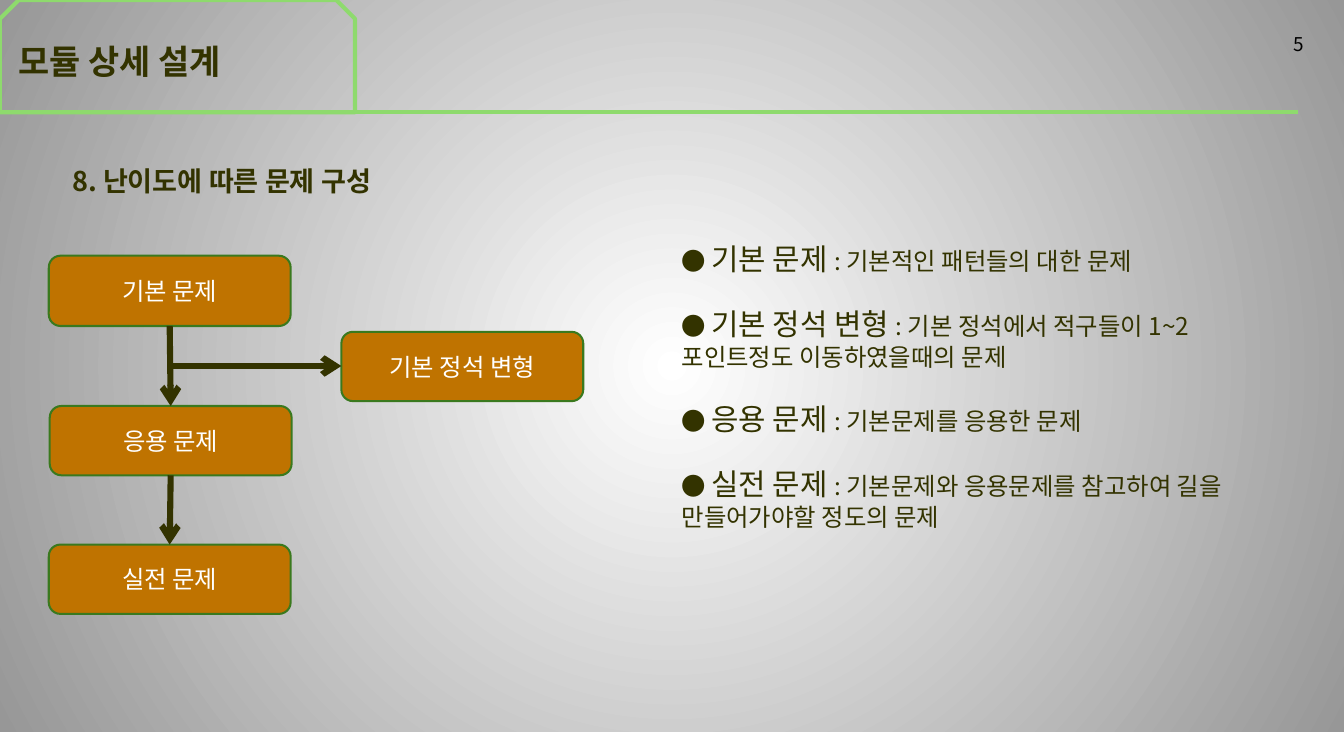
from dataclasses import dataclass
from typing import Any

from lxml import etree
from pptx import Presentation
from pptx import oxml
from pptx.dml.color import RGBColor
from pptx.enum import shapes, text
from pptx.oxml import ns
from pptx.util import Cm, Inches, Pt

FONT = "Noto Sans CJK KR"
OLIVE = RGBColor(0x33, 0x33, 0x00)
LIME = RGBColor(0x8E, 0xDA, 0x6D)
ORANGE = RGBColor(0xBF, 0x73, 0x00)
GREEN = RGBColor(0x3A, 0x79, 0x1E)
WHITE = RGBColor(0xFF, 0xFF, 0xFF)
BLACK = RGBColor(0x00, 0x00, 0x00)
GRAY = RGBColor(0x97, 0x97, 0x97)


@dataclass
class ProblemBox:
    label: str
    left: float
    top: float
    height: float


@dataclass
class Description:
    name: str
    detail: str


BASIC = ProblemBox("기본 문제", 0.5, 2.62, 0.72)
VARIATION = ProblemBox("기본 정석 변형", 3.5, 3.4, 0.71)
APPLIED = ProblemBox("응용 문제", 0.51, 4.16, 0.71)
PRACTICE = ProblemBox("실전 문제", 0.5, 5.58, 0.71)

DESCRIPTIONS = [
    Description("기본 문제", "기본적인 패턴들의 대한 문제"),
    Description("기본 정석 변형", "기본 정석에서 적구들이 1~2포인트정도 이동하였을때의 문제"),
    Description("응용 문제", "기본문제를 응용한 문제"),
    Description("실전 문제", "기본문제와 응용문제를 참고하여 길을 만들어가야할 정도의 문제"),
]


def format_run(run: Any, size: float, color: RGBColor, bold: bool = False) -> None:
    run.font.name = FONT
    run.font.size = Pt(size)
    run.font.color.rgb = color
    run.font.bold = bold
    properties = run.font._element
    properties.set("kern", "0")
    east_asian = etree.SubElement(properties, ns.qn("a:ea"))
    east_asian.set("typeface", FONT)


def write_line(shape: Any, words: str, size: float, color: RGBColor, bold: bool = False,
               align: Any = text.PP_ALIGN.LEFT) -> None:
    frame = shape.text_frame
    frame.text = words
    frame.word_wrap = True
    frame.auto_size = text.MSO_AUTO_SIZE.NONE
    frame.vertical_anchor = text.MSO_ANCHOR.MIDDLE
    paragraph = frame.paragraphs[0]
    paragraph.alignment = align
    format_run(paragraph.runs[0], size, color, bold)


def place(shape: Any, left: float, top: float, width: float, height: float) -> None:
    shape.left, shape.top = Inches(left), Inches(top)
    shape.width, shape.height = Inches(width), Inches(height)


def add_text_box(slide: Any, left: float, top: float, width: float, height: float) -> Any:
    return slide.shapes.add_textbox(Inches(left), Inches(top), Inches(width), Inches(height))


def add_line(slide: Any, start: tuple[float, float], end: tuple[float, float],
             color: RGBColor, width: float, arrow: bool = False) -> Any:
    connector = slide.shapes.add_connector(
        shapes.MSO_CONNECTOR.STRAIGHT,
        Inches(start[0]), Inches(start[1]), Inches(end[0]), Inches(end[1]))
    connector.line.color.rgb = color
    connector.line.width = Pt(width)
    properties = connector._element.spPr
    if arrow:
        tail = etree.SubElement(properties.find(ns.qn("a:ln")), ns.qn("a:tailEnd"))
        tail.set("type", "arrow")
    etree.SubElement(properties, ns.qn("a:effectLst"))
    return connector


def add_problem_box(slide: Any, box: ProblemBox) -> Any:
    shape = slide.shapes.add_shape(
        shapes.MSO_SHAPE.ROUNDED_RECTANGLE,
        Inches(box.left), Inches(box.top), Inches(2.48), Inches(box.height))
    shape.shadow.inherit = False
    shape.fill.solid()
    shape.fill.fore_color.rgb = ORANGE
    shape.line.color.rgb = GREEN
    shape.line.width = Pt(1.5)
    write_line(shape, box.label, 18, WHITE, align=text.PP_ALIGN.CENTER)
    return shape


def add_flow_arrow(slide: Any, upper: Any, lower: Any) -> None:
    arrow = add_line(slide, (0, 0), (1, 1), OLIVE, 4.5, arrow=True)
    arrow.begin_connect(upper, 2)
    arrow.end_connect(lower, 0)


def set_background(slide: Any) -> None:
    background = oxml.parse_xml(
        f'<p:bg {ns.nsdecls("p", "a")}><p:bgPr><a:gradFill rotWithShape="1"><a:gsLst>'
        f'<a:gs pos="0"><a:srgbClr val="{WHITE}"/></a:gs>'
        f'<a:gs pos="100000"><a:srgbClr val="{GRAY}"/></a:gs></a:gsLst>'
        '<a:path path="circle"><a:fillToRect l="50000" t="50000" r="50000" b="50000"/></a:path>'
        '</a:gradFill><a:effectLst/></p:bgPr></p:bg>')
    slide.element.cSld.insert(0, background)


def add_header(slide: Any) -> None:
    tab = slide.shapes.add_shape(
        shapes.MSO_SHAPE.SNIP_2_SAME_RECTANGLE, 0, 0, Inches(3.64), Inches(1.15))
    tab.adjustments[0] = 0.167
    tab.shadow.inherit = False
    tab.fill.background()
    tab.line.color.rgb = LIME
    tab.line.width = Pt(3)
    add_line(slide, (0, 1.15), (13.31, 1.15), LIME, 3)
    title = slide.shapes.title
    place(title, 0.09, 0.1, 3.45, 1.05)
    write_line(title, "모듈 상세 설계", 25, OLIVE, bold=True)
    number = add_text_box(slide, 10.26, 0.28, 3.21, 0.34)
    write_line(number, "5", 14, BLACK, align=text.PP_ALIGN.RIGHT)


def add_descriptions(slide: Any) -> None:
    frame = add_text_box(slide, 6.89, 2.42, 6.46, 3.06).text_frame
    frame.word_wrap = True
    frame.margin_top = Inches(0.11)
    for index, description in enumerate(DESCRIPTIONS):
        paragraph = frame.add_paragraph() if index else frame.paragraphs[0]
        paragraph.line_spacing = Pt(22)
        if index:
            paragraph.space_before = Pt(26)
        parts = [("● ", 18), (f"{description.name} ", 22), (f": {description.detail}", 18)]
        for words, size in parts:
            run = paragraph.add_run()
            run.text = words
            format_run(run, size, OLIVE)


def main() -> None:
    presentation = Presentation()
    presentation.slide_width = Cm(35)
    presentation.slide_height = Inches(7.5)
    slide = presentation.slides.add_slide(presentation.slide_layouts[5])
    set_background(slide)
    add_header(slide)
    heading = add_text_box(slide, 0.64, 1.63, 12.09, 0.44)
    write_line(heading, "8. 난이도에 따른 문제 구성", 20, OLIVE, bold=True)
    basic, _, applied, practice = [
        add_problem_box(slide, box) for box in (BASIC, VARIATION, APPLIED, PRACTICE)]
    add_descriptions(slide)
    add_flow_arrow(slide, basic, applied)
    add_flow_arrow(slide, applied, practice)
    add_line(slide, (1.73, 3.75), (VARIATION.left, 3.75), OLIVE, 4.5, arrow=True)
    presentation.save("out.pptx")


if __name__ == "__main__":
    main()
